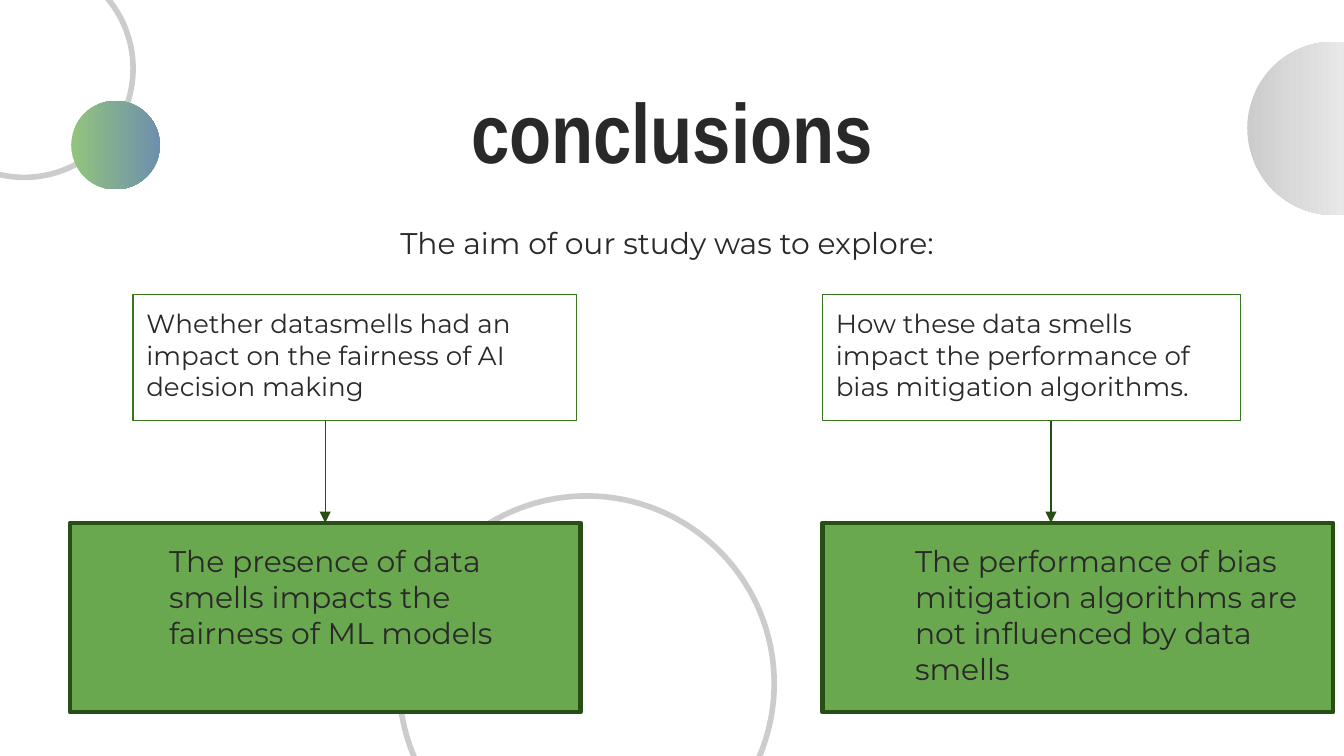
from lxml import etree
from pptx import Presentation
from pptx.dml.color import RGBColor
from pptx.enum import shapes, text
from pptx.oxml.ns import qn
from pptx.util import Inches, Pt

INK = RGBColor(0x29, 0x29, 0x29)
RING_GRAY = RGBColor(0xCC, 0xCC, 0xCC)
WHITE = RGBColor(0xFF, 0xFF, 0xFF)
LEAF = RGBColor(0x93, 0xC4, 0x7D)
STEEL = RGBColor(0x6E, 0x90, 0xAC)
GREEN = RGBColor(0x6A, 0xA8, 0x4F)
MID_GREEN = RGBColor(0x38, 0x76, 0x1D)
DARK_GREEN = RGBColor(0x27, 0x4E, 0x13)

TITLE_FONT = "Arial Narrow"
BODY_FONT = "Montserrat"

AIM_TOP, AIM_HEIGHT = 2.19, 0.94
FINDING_TOP, FINDING_WIDTH, FINDING_HEIGHT = 3.89, 3.8, 1.41


def write(shape, words, size, font=BODY_FONT, bold=False,
          align=text.PP_ALIGN.LEFT):
    frame = shape.text_frame
    frame.text = words
    frame.word_wrap = True
    frame.auto_size = text.MSO_AUTO_SIZE.NONE
    frame.vertical_anchor = text.MSO_ANCHOR.TOP
    frame.margin_left = frame.margin_right = Inches(0.1)
    frame.margin_top = frame.margin_bottom = Inches(0.1)
    para = frame.paragraphs[0]
    para.alignment = align
    for span in para.runs:
        span.font.name = font
        span.font.size = Pt(size)
        span.font.bold = bold
        span.font.color.rgb = INK


def add_text(page, box, words, size, **style):
    shape = page.shapes.add_textbox(*map(Inches, box))
    write(shape, words, size, **style)


def add_outlined(page, kind, box, color, weight):
    """Add an unfilled preset shape with a plain outline."""
    shape = page.shapes.add_shape(kind, *map(Inches, box))
    shape.shadow.inherit = False
    shape.fill.background()
    shape.line.color.rgb = color
    shape.line.width = Pt(weight)
    return shape


def add_ring(page, left, top, size):
    add_outlined(page, shapes.MSO_SHAPE.OVAL, (left, top, size, size),
                 RING_GRAY, 3)


def add_ball(page, left, top, size, start, end):
    """Add a circle shaded from left to right."""
    ball = page.shapes.add_shape(shapes.MSO_SHAPE.OVAL,
                                 *map(Inches, (left, top, size, size)))
    ball.shadow.inherit = False
    ball.line.fill.background()
    ball.fill.gradient()
    ball.fill.gradient_angle = 0
    for stop, color, position in zip(ball.fill.gradient_stops,
                                     (start, end), (0, 1)):
        stop.color.rgb = color
        stop.position = position


def add_heading(page, box, words):
    title = page.shapes.title
    title.left, title.top, title.width, title.height = map(Inches, box)
    write(title, words, 45, font=TITLE_FONT, bold=True,
          align=text.PP_ALIGN.CENTER)


def add_decoration(page):
    add_ring(page, 2.97, 3.69, 2.79)
    add_ball(page, 9.28, 0.31, 1.29, RING_GRAY, WHITE)
    add_ring(page, -0.63, -0.3, 1.62)
    add_ball(page, 0.53, 0.75, 0.66, LEAF, STEEL)


def add_aim(page, left, width, words):
    aim = add_outlined(page, shapes.MSO_SHAPE.RECTANGLE,
                       (left, AIM_TOP, width, AIM_HEIGHT), MID_GREEN, 0.75)
    write(aim, words, 14)


def add_finding(page, left, indent, words):
    panel = add_outlined(page, shapes.MSO_SHAPE.RECTANGLE,
                         (left, FINDING_TOP, FINDING_WIDTH, FINDING_HEIGHT),
                         DARK_GREEN, 2.25)
    panel.fill.solid()
    panel.fill.fore_color.rgb = GREEN
    add_text(page, (left + indent, FINDING_TOP + 0.05, 3.11, 1.3), words, 16)
    return panel


def add_arrow(page, x):
    """Add an arrow down from the aim to the finding."""
    arrow = page.shapes.add_connector(
        shapes.MSO_CONNECTOR.STRAIGHT, Inches(x),
        Inches(AIM_TOP + AIM_HEIGHT), Inches(x), Inches(FINDING_TOP))
    arrow.line.color.rgb = DARK_GREEN
    arrow.line.width = Pt(0.75)
    line = arrow.line._get_or_add_ln()
    etree.SubElement(line, qn("a:tailEnd"), type="triangle")
    etree.SubElement(arrow._element.spPr, qn("a:effectLst"))
    return arrow


def main():
    deck = Presentation()
    deck.slide_width = Inches(10)
    deck.slide_height = deck.slide_width * 9 // 16
    page = deck.slides.add_slide(deck.slide_layouts[5])

    add_heading(page, (0.78, 0.49, 8.44, 0.94), "conclusions")
    add_decoration(page)
    add_text(page, (1.11, 1.57, 7.77, 0.76),
             "The aim of our study was to explore: ", 16,
             align=text.PP_ALIGN.CENTER)

    add_aim(page, 6.12, 3.11, "How these data smells impact the performance "
            "of bias mitigation algorithms.")
    add_aim(page, 0.99, 3.3, "Whether datasmells had an impact on the "
            "fairness of AI decision making")

    fairness = add_finding(page, 0.52, 0.64, "The presence of data smells "
                           "impacts the fairness of ML models")
    add_finding(page, 6.12, 0.59, "The performance of bias mitigation "
                "algorithms are not influenced by data smells")

    add_arrow(page, 2.42).end_connect(fairness, 0)
    add_arrow(page, 7.82)

    deck.save("out.pptx")


if __name__ == "__main__":
    main()
